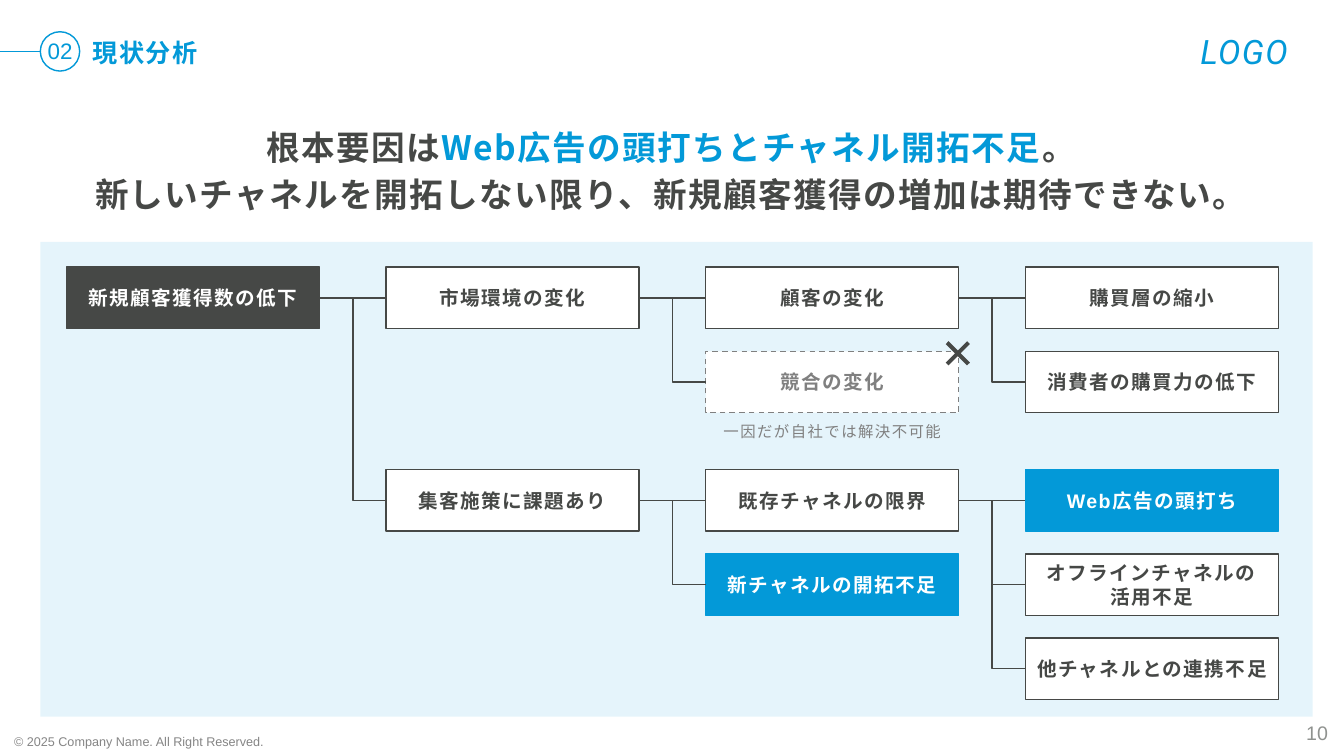
from collections import namedtuple

from lxml import etree
from pptx import Presentation
from pptx.dml.color import RGBColor
from pptx.enum.dml import MSO_LINE
from pptx.enum.shapes import MSO_CONNECTOR as Link, MSO_SHAPE as Shape
from pptx.enum.text import MSO_ANCHOR as Anchor, PP_ALIGN as Align
from pptx.oxml.ns import qn
from pptx.util import Inches, Pt

Box = namedtuple("Box", "left top width height")
COLORS = {"blue": "0399D8", "dark": "464846", "gray": "808080", "white": "FFFFFF",
          "footer": "858585", "number": "8F928F"}
CJK = "Noto Sans CJK JP"
PAGE = Box(0, 0, 13.33, 7.5)
PANEL = Box(0.4, 2.4, 12.62, 4.71)

# Issue tree grid, measured from the panel's corner
MARGIN_X, MARGIN_Y = 0.26, 0.25
COLUMN_STEP, ROW_STEP, GROUP_STEP = 3.17, 0.835, 2.01
NODE_WIDTH, NODE_HEIGHT = 2.51, 0.61

# Fill, line and text colour of each kind of node
STYLES = {"root": ("dark", "dark", "white"), "plain": ("white", "dark", "dark"),
          "key": ("blue", "blue", "white"), "excluded": ("white", "gray", "gray")}

# Label, column, group, row in the group, style, index of the parent
NODES = [
    ("新規顧客獲得数の低下", 0, 0, 0, "root", None),
    ("市場環境の変化", 1, 0, 0, "plain", 0),
    ("集客施策に課題あり", 1, 1, 0, "plain", 0),
    ("顧客の変化", 2, 0, 0, "plain", 1),
    ("競合の変化", 2, 0, 1, "excluded", 1),
    ("既存チャネルの限界", 2, 1, 0, "plain", 2),
    ("新チャネルの開拓不足", 2, 1, 1, "key", 2),
    ("購買層の縮小", 3, 0, 0, "plain", 3),
    ("消費者の購買力の低下", 3, 0, 1, "plain", 3),
    ("Web広告の頭打ち", 3, 1, 0, "key", 5),
    ("オフラインチャネルの\n活用不足", 3, 1, 1, "plain", 5),
    ("他チャネルとの連携不足", 3, 1, 2, "plain", 5),
]


def rgb(name):
    return RGBColor.from_string(COLORS[name])


def emu(box):
    return [Inches(value) for value in box]


def style_span(span, size, color, font="Arial", bold=False, italic=False, spacing=0):
    span.font.size, span.font.name = Pt(size), font
    span.font.bold, span.font.italic = bold, italic
    span.font.color.rgb = rgb(color)
    properties = span.font._element
    properties.set("spc", str(spacing * 100))
    etree.SubElement(properties, qn("a:ea")).set("typeface", CJK)


def fill_para(para, text, align, **style):
    para.text = text
    para.alignment = align
    for span in para.runs:
        style_span(span, **style)


def add_text(slide, box, text, align=Align.LEFT, anchor=Anchor.TOP, inset=None,
             line_spacing=None, **style):
    frame = slide.shapes.add_textbox(*emu(box)).text_frame
    frame.word_wrap = False
    frame.vertical_anchor = anchor
    if inset is not None:
        frame.margin_left = frame.margin_right = Inches(inset)
        frame.margin_top = frame.margin_bottom = Inches(inset)
    fill_para(frame.paragraphs[0], text, align, **style)
    if line_spacing:
        frame.paragraphs[0].line_spacing = line_spacing
    return frame


def add_figure(slide, kind, box, fill=None, line=None):
    figure = slide.shapes.add_shape(kind, *emu(box))
    figure.shadow.inherit = False
    if fill:
        figure.fill.solid()
        figure.fill.fore_color.rgb = rgb(fill)
    else:
        figure.fill.background()
    if line:
        figure.line.color.rgb = rgb(line)
        figure.line.width = Pt(1)
    else:
        figure.line.fill.background()
    return figure


def add_line(slide, kind, color, start=(0, 0), end=(0, 0)):
    line = slide.shapes.add_connector(kind, *emu(start + end))
    line.line.color.rgb = rgb(color)
    line.line.width = Pt(1)
    etree.SubElement(line._element.spPr, qn("a:effectLst"))
    return line


def draw_header(slide, box):
    middle = box.top + 0.51
    badge = Box(box.left + 0.4, middle - 0.195, 0.39, 0.39)
    add_figure(slide, Shape.OVAL, badge, line="blue")
    add_line(slide, Link.STRAIGHT, "blue", (box.left, middle), (badge.left, middle))
    add_text(slide, Box(badge.left + 0.07, middle - 0.11, 0.25, 0.24), "02", Align.CENTER,
             inset=0, line_spacing=0.9, size=16, color="blue")
    add_text(slide, Box(box.left + 0.92, middle - 0.11, 2.13, 0.27), "現状分析",
             inset=0, line_spacing=0.9, size=18, color="blue", bold=True, spacing=1)
    add_text(slide, Box(box.left + box.width - 1.62, middle - 0.25, 1.26, 0.5), "LOGO",
             Align.CENTER, size=24, color="blue", font="Roboto", italic=True, spacing=1)


def draw_headline(slide, box):
    style = dict(size=24, font=CJK, bold=True, spacing=1)
    frame = add_text(slide, box, "根本要因は", Align.CENTER, line_spacing=1.17,
                     color="dark", **style)
    first = frame.paragraphs[0]
    for text, color in (("Web広告の頭打ちとチャネル開拓不足", "blue"), ("。", "dark")):
        span = first.add_run()
        span.text = text
        style_span(span, color=color, **style)
    second = frame.add_paragraph()
    fill_para(second, "新しいチャネルを開拓しない限り、新規顧客獲得の増加は期待できない。",
              Align.CENTER, color="dark", **style)
    second.line_spacing = 1.17


def draw_node(slide, box, label, style):
    fill, line, color = STYLES[style]
    node = add_figure(slide, Shape.RECTANGLE, box, fill, line)
    if style == "excluded":
        node.line.dash_style = MSO_LINE.DASH
    frame = node.text_frame
    frame.word_wrap = True
    frame.vertical_anchor = Anchor.MIDDLE
    fill_para(frame.paragraphs[0], label, Align.CENTER, size=14, color=color,
              bold=True, spacing=1)
    return node


def mark_excluded(slide, box):
    """Put a cross on the node's corner and the reason below it."""
    add_text(slide, Box(box.left + 0.06, box.top + box.height + 0.01, box.width - 0.12, 0.31),
             "一因だが自社では解決不可能", Align.CENTER, line_spacing=1.17,
             size=11, color="gray", font=CJK, spacing=1)
    corner = Box(box.left + box.width - 0.16, box.top - 0.13, 0.3, 0.3)
    cross = add_figure(slide, Shape.CROSS, corner, "dark")
    cross.adjustments[0] = 0.434
    cross.rotation = 315


def draw_issue_tree(slide, panel):
    backdrop = add_figure(slide, Shape.RECTANGLE, panel, "blue")
    tint = backdrop.fill._xPr.find(".//" + qn("a:srgbClr"))
    etree.SubElement(tint, qn("a:alpha")).set("val", "10000")
    drawn = []
    for label, column, group, row, style, parent in NODES:
        box = Box(panel.left + MARGIN_X + column * COLUMN_STEP,
                  panel.top + MARGIN_Y + group * GROUP_STEP + row * ROW_STEP,
                  NODE_WIDTH, NODE_HEIGHT)
        node = draw_node(slide, box, label, style)
        drawn.append(node)
        if parent is not None:
            source = drawn[parent]
            kind = Link.STRAIGHT if source.top == node.top else Link.ELBOW
            link = add_line(slide, kind, "dark")
            link.begin_connect(source, 3)
            link.end_connect(node, 1)
        if style == "excluded":
            mark_excluded(slide, box)


def draw_footer(slide, box):
    bottom = box.top + box.height
    add_text(slide, Box(box.left + 0.14, bottom - 0.22, 2.56, 0.15),
             "© 2025 Company Name. All Right Reserved.", anchor=Anchor.MIDDLE, inset=0,
             size=9, color="footer")
    add_text(slide, Box(box.left + box.width - 0.68, bottom - 0.43, 0.62, 0.4), "10",
             Align.RIGHT, Anchor.MIDDLE, size=14, color="number")


def main():
    deck = Presentation()
    deck.slide_width, deck.slide_height = Inches(PAGE.width), Inches(PAGE.height)
    slide = deck.slides.add_slide(deck.slide_layouts[6])
    draw_header(slide, PAGE)
    draw_headline(slide, Box(0.77, 1.14, 11.77, 1.02))
    draw_issue_tree(slide, PANEL)
    draw_footer(slide, PAGE)
    deck.save("out.pptx")


if __name__ == "__main__":
    main()
